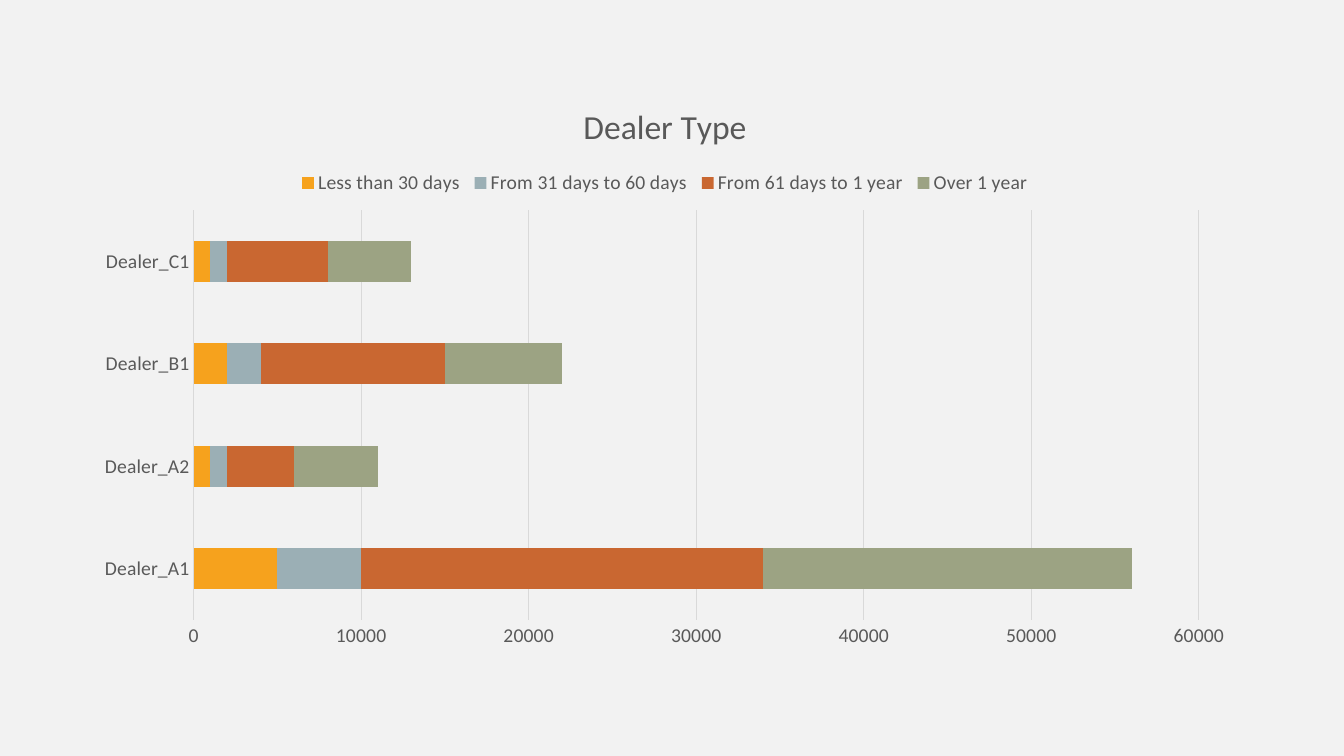
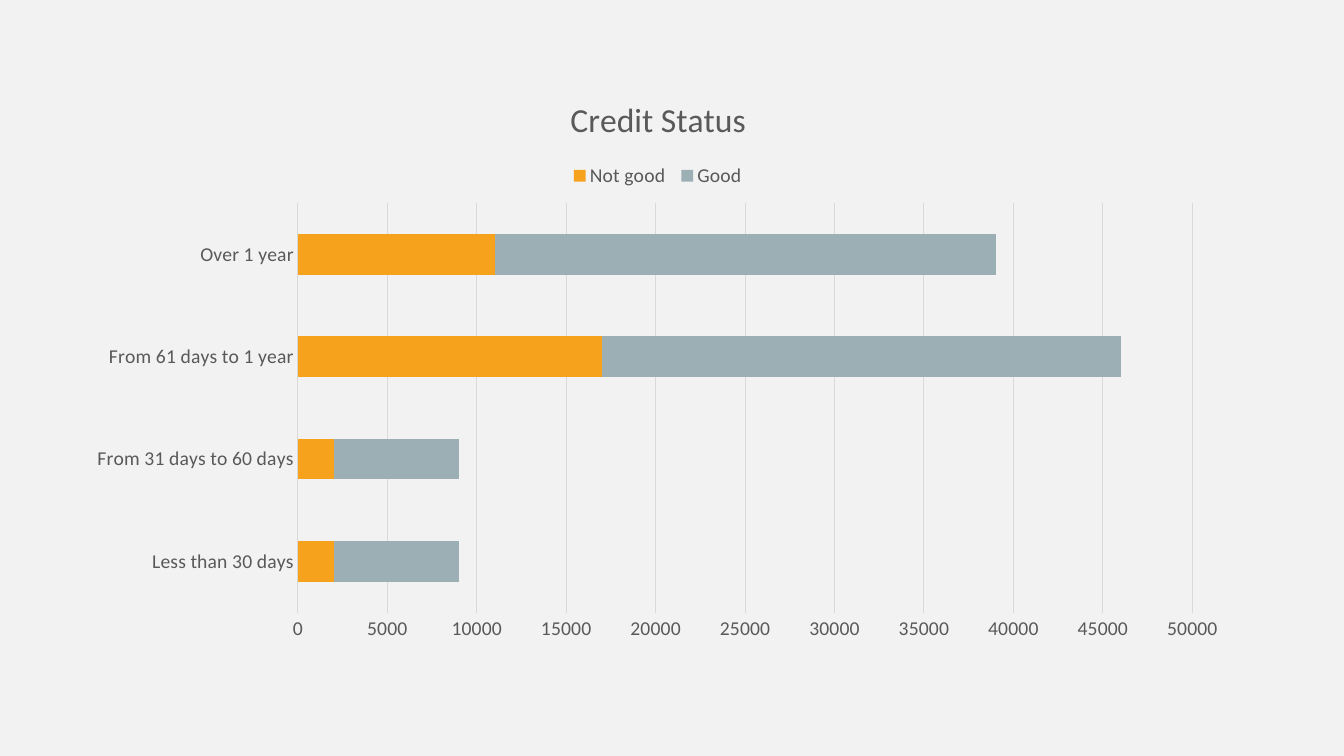
from lxml import etree
from pptx import Presentation
from pptx.chart.data import CategoryChartData
from pptx.dml.color import RGBColor
from pptx.enum.chart import XL_CHART_TYPE, XL_LEGEND_POSITION, XL_TICK_MARK
from pptx.oxml.ns import qn
from pptx.util import Cm, Pt

STACKED_BARS = XL_CHART_TYPE.BAR_STACKED
LEGEND_TOP = XL_LEGEND_POSITION.TOP
NO_TICKS = XL_TICK_MARK.NONE

COLORS = {
    "background": "F2F2F2",
    "text": "595959",
    "line": "D9D9D9",
    "amber": "F6A21D",
    "blue_gray": "9BAFB5",
    "rust": "C96731",
    "sage": "9CA383",
}
SERIES_COLORS = ("amber", "blue_gray", "rust", "sage")
PERIODS = ("Less than 30 days", "From 31 days to 60 days",
           "From 61 days to 1 year", "Over 1 year")


def rgb(name):
    """Return the named colour of the palette."""
    return RGBColor.from_string(COLORS[name])


def place(element, index, **percentages):
    """Give a chart part a manual layout, in percent of the chart."""
    for automatic in element.findall(qn("c:layout")):
        element.remove(automatic)
    layout = etree.Element(qn("c:layout"))
    manual = etree.SubElement(layout, qn("c:manualLayout"))
    settings = {"xMode": "edge", "yMode": "edge"}
    settings.update((key, str(round(value / 100, 4)))
                    for key, value in percentages.items())
    if element.tag == qn("c:plotArea"):
        settings = {"layoutTarget": "inner", **settings}
    for key, value in settings.items():
        etree.SubElement(manual, qn(f"c:{key}"), val=value)
    element.insert(index, layout)


class Deck:
    """Holds the shared style and the current slide."""

    FONT = "Calibri"
    BODY_SIZE = 14
    TITLE_SIZE = 24
    CHART_SIZE = (Cm(29.39), Cm(14.58))

    def __init__(self):
        """Start a wide presentation with a gray background."""
        self.prs = Presentation()
        self.prs.slide_width, self.prs.slide_height = Cm(33.87), Cm(19.05)
        fill = self.prs.slide_master.background.fill
        fill.solid()
        fill.fore_color.rgb = rgb("background")
        self.slide = None

    def add_slide(self):
        """Add a blank slide and make it current."""
        self.slide = self.prs.slides.add_slide(self.prs.slide_layouts[6])

    def style_font(self, font, size):
        """Apply the shared font and text colour."""
        font.name = self.FONT
        font.size = Pt(size)
        font.bold = False
        font.color.rgb = rgb("text")

    def style_line(self, line):
        """Apply the thin gray line."""
        line.color.rgb = rgb("line")
        line.width = Pt(0.75)

    def style_axes(self, chart, maximum, step):
        """Format both axes and the vertical gridlines."""
        for axis in (chart.category_axis, chart.value_axis):
            axis.major_tick_mark = axis.minor_tick_mark = NO_TICKS
            self.style_font(axis.tick_labels.font, self.BODY_SIZE)
        self.style_line(chart.category_axis.format.line)
        amounts = chart.value_axis
        amounts.minimum_scale, amounts.maximum_scale = 0, maximum
        amounts.major_unit = step
        amounts.format.line.fill.background()
        amounts.has_major_gridlines = True
        self.style_line(amounts.major_gridlines.format.line)

    def add_title(self, chart, title, left):
        """Write the chart title, starting at the given percentage."""
        chart.has_title = True
        heading = chart.chart_title.text_frame
        heading.text = title
        self.style_font(heading.paragraphs[0].font, self.TITLE_SIZE)
        place(chart.chart_title.element, 1, x=left, y=2.8)

    def add_legend(self, chart, width):
        """Centre a legend of the given percentage width under the title."""
        chart.has_legend = True
        chart.legend.position = LEGEND_TOP
        chart.legend.include_in_layout = False
        self.style_font(chart.legend.font, self.BODY_SIZE)
        legend = chart.element.find(f"{qn('c:chart')}/{qn('c:legend')}")
        place(legend, 1, x=(100 - width) / 2, y=15.4, w=width, h=4.2)

    def add_stacked_bars(self, title, categories, series, *, offset, maximum,
                         step, title_left, legend_width, plot_left, plot_width):
        """Add a stacked bar chart, the same distance from left and top."""
        data = CategoryChartData(number_format="General")
        data.categories = categories
        for name, values in series.items():
            data.add_series(name, values)
        chart = self.slide.shapes.add_chart(
            STACKED_BARS, offset, offset, *self.CHART_SIZE, data).chart
        self.style_font(chart.font, self.BODY_SIZE)
        bars = chart.plots[0]
        bars.gap_width, bars.overlap = 150, 100
        bars.vary_by_categories = False
        for group, color in zip(bars.series, SERIES_COLORS):
            group.format.fill.solid()
            group.format.fill.fore_color.rgb = rgb(color)
        self.style_axes(chart, maximum, step)
        self.add_title(chart, title, title_left)
        self.add_legend(chart, legend_width)
        plot = chart.element.find(f"{qn('c:chart')}/{qn('c:plotArea')}")
        place(plot, 0, x=plot_left, y=22.2, w=plot_width, h=70.8)


def build_dealer_type(deck):
    """Build the slide on amounts by dealer."""
    deck.add_slide()
    amounts = ((5000, 1000, 2000, 1000), (5000, 1000, 2000, 1000),
               (24000, 4000, 11000, 6000), (22000, 5000, 7000, 5000))
    deck.add_stacked_bars(
        "Dealer Type", ("Dealer_A1", "Dealer_A2", "Dealer_B1", "Dealer_C1"),
        dict(zip(PERIODS, amounts)), offset=Cm(2.06), maximum=60000, step=10000,
        title_left=42.5, legend_width=63.6, plot_left=9.6, plot_width=86.2)


def build_credit_status(deck):
    """Build the slide on amounts by credit status."""
    deck.add_slide()
    amounts = {"Not good": (2000, 2000, 17000, 11000),
               "Good": (7000, 7000, 29000, 28000)}
    deck.add_stacked_bars(
        "Credit Status", PERIODS, amounts, offset=Cm(1.88), maximum=50000,
        step=5000, title_left=42, legend_width=16, plot_left=19.15,
        plot_width=76.7)


def main():
    """Build and save the presentation."""
    deck = Deck()
    build_dealer_type(deck)
    build_credit_status(deck)
    deck.prs.save("out.pptx")


main()
